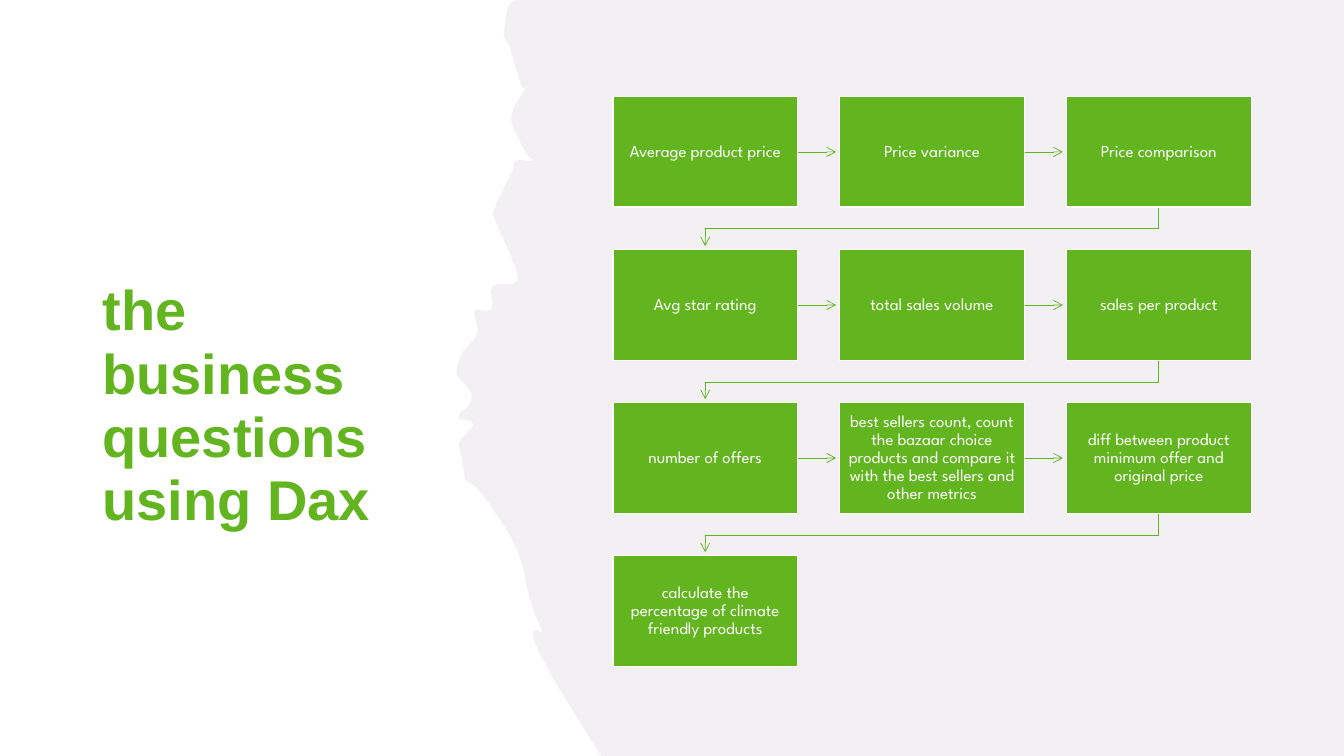
from lxml.etree import SubElement
from pptx import Presentation
from pptx.dml.color import RGBColor
from pptx.enum.shapes import MSO_CONNECTOR, MSO_SHAPE
from pptx.enum.text import MSO_ANCHOR, MSO_AUTO_SIZE, PP_ALIGN
from pptx.oxml.ns import qn
from pptx.util import Pt

GREEN = RGBColor(0x63, 0xB5, 0x20)
WHITE = RGBColor(0xFF, 0xFF, 0xFF)
MIST = RGBColor(0xF2, 0xF0, 0xF3)
WIDE, HIGH = 960, 540

EDGE = [
    (368, 0), (366, 1), (364, 4), (362, 8), (360, 24), (361, 28), (364, 33),
    (367, 44), (372, 60), (375, 64), (373, 67), (365, 85), (375, 108),
    (380, 115), (369, 114.5), (366, 122), (364, 126), (353, 150), (354, 158),
    (370, 199), (352, 204), (351, 221), (339, 222), (341, 238), (331, 251),
    (328, 258), (326, 267), (329, 271), (337, 282), (333, 292), (329, 294),
    (328, 299), (333, 300), (338, 304), (328, 316), (330, 327), (332, 341),
    (334, 344), (341, 349), (353, 365), (370, 394), (379, 430), (387, 451),
    (382.5, 450), (381, 456), (392, 479), (407, 504), (428, 538), (430.5, 540),
]

STEPS = [
    "Average product price", "Price variance", "Price comparison",
    "Avg star rating", "total sales volume", "sales per product",
    "number of offers",
    "best sellers count, count the bazaar choice products and compare it "
    "with the best sellers and other metrics",
    "diff between product minimum offer and original price",
    "calculate the percentage of climate friendly products",
]

HEAD = {"name": "Arial", "size": Pt(40), "bold": True}
BODY = {"name": "League Spartan", "size": Pt(12), "bold": False}
INSET = dict.fromkeys(
    ("margin_left", "margin_right", "margin_top", "margin_bottom"), Pt(6.5))


def put(item, vals):
    """Set each named value on the item."""
    for name, val in vals.items():
        setattr(item, name, val)


def write(shape, text, font, color, frame, para):
    """Fill a shape with one formatted paragraph."""
    put(shape.text_frame, {"word_wrap": True, "vertical_anchor": MSO_ANCHOR.MIDDLE, **frame})
    line = shape.text_frame.paragraphs[0]
    run = line.add_run()
    run.text = text
    put(line, para)
    put(run.font, font)
    run.font.color.rgb = color


def block(slide, box, fill):
    """Add a plain filled rectangle in the given box."""
    shape = slide.shapes.add_shape(MSO_SHAPE.RECTANGLE, *map(Pt, box))
    shape.shadow.inherit = False
    shape.fill.solid()
    shape.fill.fore_color.rgb = fill
    shape.line.fill.background()
    return shape


def trace(slide, points, close):
    """Add a freeform through points given in points."""
    spots = [(Pt(x), Pt(y)) for x, y in points]
    pen = slide.shapes.build_freeform(*spots[0], scale=1.0)
    pen.add_line_segments(spots[1:], close=close)
    shape = pen.convert_to_shape()
    shape.shadow.inherit = False
    return shape


def smooth(points, count=4):
    """Return a rounded curve that passes through the points."""
    ends = [points[0], *points, points[-1]]
    curve = []
    for a, b, c, d in zip(ends, ends[1:], ends[2:], ends[3:]):
        for step in range(count):
            t = step / count
            curve.append(tuple(
                (2 * q + (r - p) * t + (2 * p - 5 * q + 4 * r - s) * t ** 2
                 + (3 * q - p - 3 * r + s) * t ** 3) / 2
                for p, q, r, s in zip(a, b, c, d)))
    return curve + [points[-1]]


def torn(slide, box):
    """Draw the pale panel with a torn left edge."""
    left, top, width, height = box
    rim = [(left + x, top + y) for x, y in smooth(EDGE)]
    ends = [(left + width, top + height), (left + width, top)]
    panel = trace(slide, rim + ends, True)
    panel.fill.solid()
    panel.fill.fore_color.rgb = MIST
    panel.line.fill.background()


def title(slide, box):
    """Place the heading above the white sheet."""
    head = slide.shapes.title
    slide.shapes._spTree.append(head._element)
    put(head, dict(zip(("left", "top", "width", "height"), map(Pt, box))))
    write(head, "the business questions using Dax", HEAD, GREEN,
          {"auto_size": MSO_AUTO_SIZE.NONE},
          {"alignment": PP_ALIGN.LEFT, "line_spacing": 0.94})


def arrow(shape):
    """Give a line its colour, width and open arrowhead."""
    shape.line.color.rgb = GREEN
    shape.line.width = Pt(0.5)
    SubElement(shape.line._get_or_add_ln(), qn("a:tailEnd"), type="arrow")


def link(slide, start, end):
    """Join two neighbours in a row."""
    line = slide.shapes.add_connector(
        MSO_CONNECTOR.STRAIGHT, *map(Pt, start + end))
    arrow(line)
    SubElement(line._element.spPr, qn("a:effectLst"))


def turn(slide, start, end):
    """Lead from the end of a row to the start of the next."""
    mid = start[1] + 15.5
    line = trace(slide, [start, (start[0], mid), (end[0], mid), end], False)
    line.fill.background()
    arrow(line)


def flow(slide, box, cols=3, rows=4):
    """Lay out the steps in rows, linked in reading order."""
    left, top, width, height = box
    wide, tall = 132, 79
    over = (width - wide) / (cols - 1)
    down = (height - tall) / (rows - 1)
    for i, text in enumerate(STEPS):
        row, col = divmod(i, cols)
        x, y = left + col * over, top + row * down
        if col < cols - 1 and i < len(STEPS) - 1:
            link(slide, (x + wide, y + tall / 2), (x + over - 2.5, y + tall / 2))
        elif i < len(STEPS) - 1:
            turn(slide, (x + wide / 2, y + tall), (left + wide / 2, y + down - 2.5))
        card = block(slide, (x, y, wide, tall), GREEN)
        card.line.color.rgb = WHITE
        card.line.width = Pt(1)
        write(card, text, BODY, WHITE, INSET,
              {"alignment": PP_ALIGN.CENTER, "line_spacing": 0.9})


def main():
    """Build and save the slide."""
    deck = Presentation()
    put(deck, {"slide_width": Pt(WIDE), "slide_height": Pt(HIGH)})
    slide = deck.slides.add_slide(deck.slide_layouts[5])
    slide.background.fill.solid()
    slide.background.fill.fore_color.rgb = MIST
    block(slide, (0, 0, WIDE, HIGH), WHITE)
    title(slide, (66, 76.5, 252, 428))
    torn(slide, (0, 0, WIDE, HIGH))
    flow(slide, (437.75, 69, 456, 407))
    deck.save("out.pptx")


if __name__ == "__main__":
    main()
